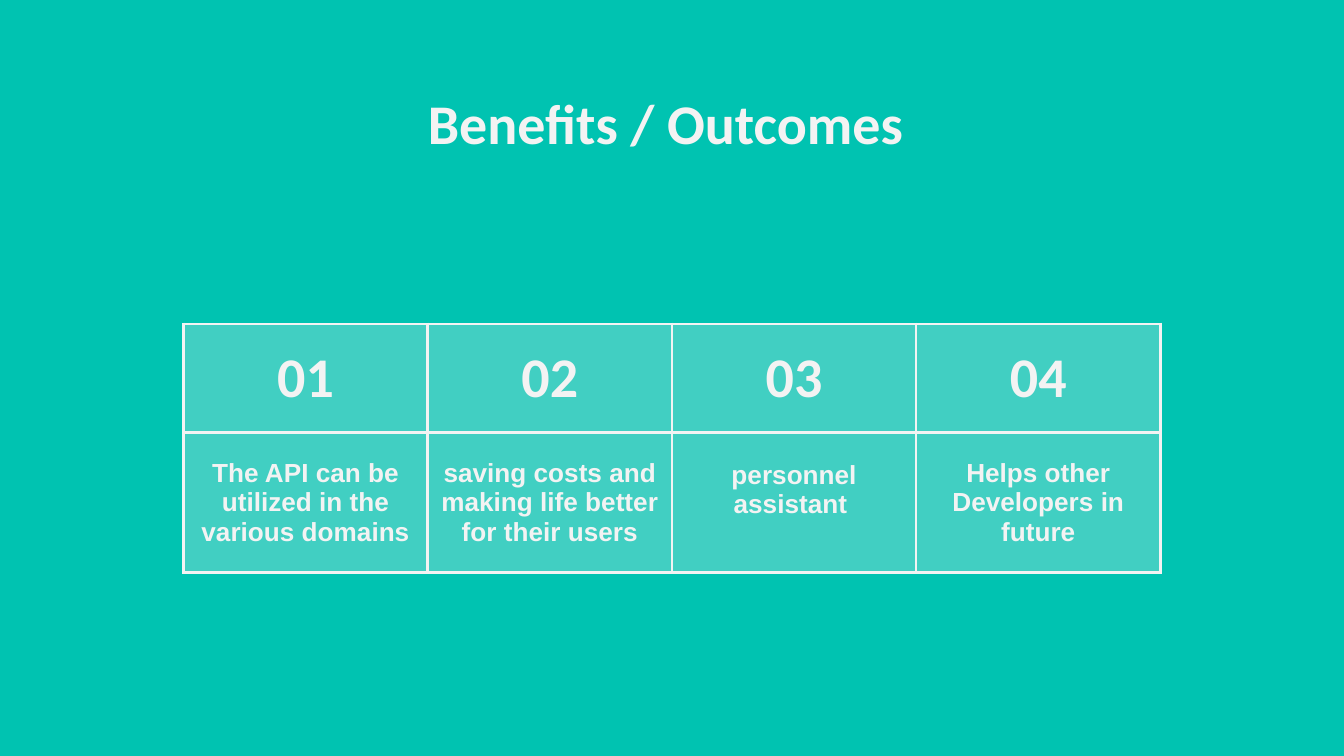
from typing import NamedTuple

from lxml import etree
from pptx import Presentation
from pptx import util as u
from pptx.dml.color import RGBColor
from pptx.enum import text as t
from pptx.oxml.ns import qn

HUES = {"teal": "00C3B1", "pale": "F3F3F3"}
WIDE = 10
HIGH = WIDE * 9 / 16
PAD = 0.1


class Style(NamedTuple):
    font: str
    size: int


class Item(NamedTuple):
    num: str
    note: str
    foot: float = PAD  # bottom margin of the note


HEAD = Style("Calibri", 30)
BODY = Style("Arial", 14)
ITEMS = [
    Item("01", "The API can be utilized in the various domains"),
    Item("02", "saving costs and making life better for their users"),
    Item("03", "personnel assistant ", 0.29),
    Item("04", "Helps other Developers in future"),
]


def mid(width: float) -> u.Length:
    """Left edge that centres a width on the slide."""
    return u.Inches((WIDE - width) / 2)


def write(frame, words: str, style: Style) -> None:
    """Set one centred bold paragraph."""
    frame.text = words
    para = frame.paragraphs[0]
    para.alignment = t.PP_ALIGN.CENTER
    font = para.runs[0].font
    font.name, font.size, font.bold = style.font, u.Pt(style.size), True
    font.color.rgb = RGBColor.from_string(HUES["pale"])


def pad(box, foot: float = PAD) -> None:
    """Set the inner margins of a cell or text frame."""
    box.margin_left = box.margin_right = box.margin_top = u.Inches(PAD)
    box.margin_bottom = u.Inches(foot)


def tint(parent, alpha: int = 100) -> None:
    """Append a pale solid fill, opaque to alpha percent."""
    fill = etree.SubElement(parent, qn("a:solidFill"))
    hue = etree.SubElement(fill, qn("a:srgbClr"), val=HUES["pale"])
    if alpha < 100:
        etree.SubElement(hue, qn("a:alpha"), val=str(alpha * 1000))


def draw_cell(cell, words: str, style: Style, foot: float = PAD) -> None:
    """Fill one table cell with text, borders and a see-through tint."""
    write(cell.text_frame, words, style)
    pad(cell, foot)
    cell.vertical_anchor = t.MSO_ANCHOR.MIDDLE
    props = cell._tc.get_or_add_tcPr()
    for side in ("lnL", "lnR", "lnT", "lnB"):
        tint(etree.SubElement(props, qn(f"a:{side}"), w=str(u.Pt(1.5))))
    tint(props, 27)


def main() -> None:
    deck = Presentation()
    deck.slide_width, deck.slide_height = u.Inches(WIDE), u.Inches(HIGH)
    slide = deck.slides.add_slide(deck.slide_layouts[6])
    back = slide.background.fill
    back.solid()
    back.fore_color.rgb = RGBColor.from_string(HUES["teal"])

    # Title
    box = slide.shapes.add_textbox(
        mid(8.43), u.Inches(0.56), u.Inches(8.43), u.Inches(0.63))
    frame = box.text_frame
    frame.word_wrap = True
    pad(frame)
    write(frame, "Benefits / Outcomes ", HEAD)

    # Numbered benefits
    grid = slide.shapes.add_table(
        2, len(ITEMS), mid(7.27), u.Inches(2.41),
        u.Inches(7.27), u.Inches(1.85)).table
    grid.first_row = grid.horz_banding = False
    for row, high in zip(grid.rows, (0.81, 1.04)):
        row.height = u.Inches(high)
    for col, item in enumerate(ITEMS):
        draw_cell(grid.cell(0, col), item.num, HEAD)
        draw_cell(grid.cell(1, col), item.note, BODY, item.foot)

    deck.save("out.pptx")


if __name__ == "__main__":
    main()
